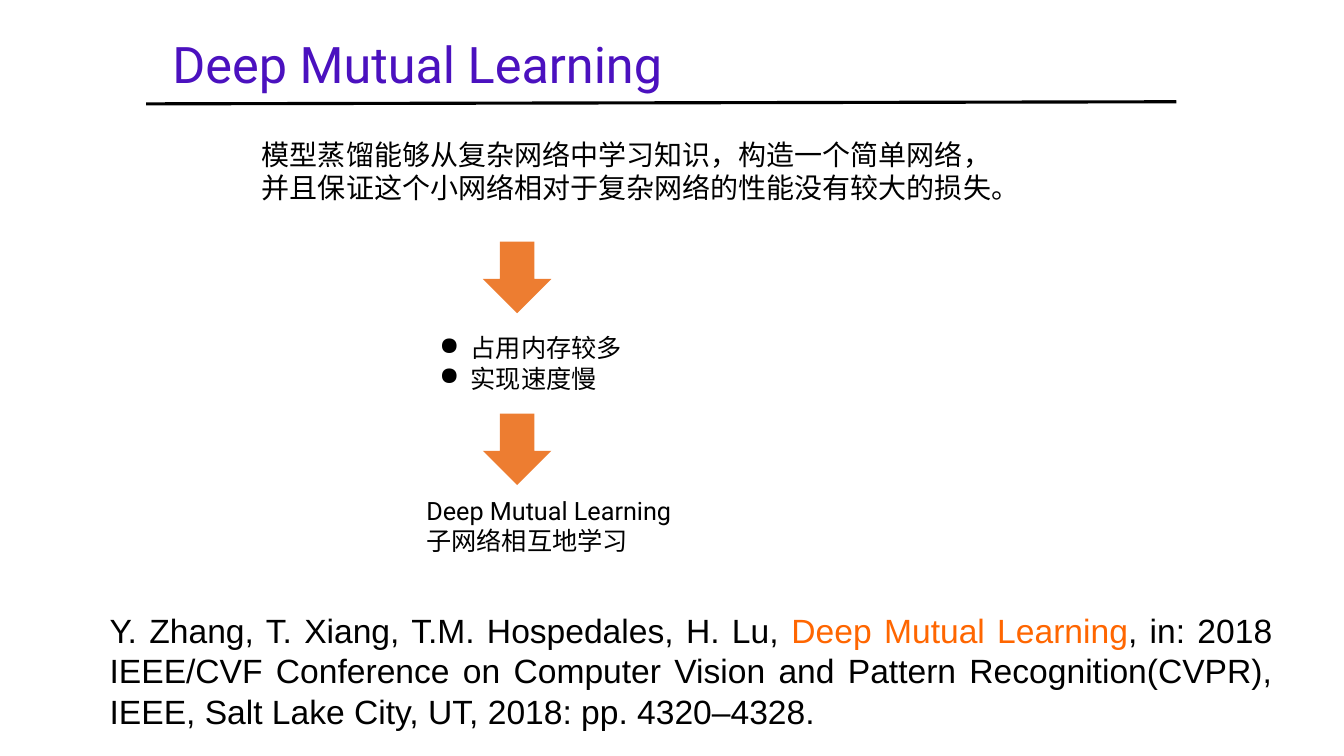
from dataclasses import dataclass

from lxml import etree
from pptx import Presentation
from pptx.dml.color import RGBColor
from pptx.enum.shapes import MSO_CONNECTOR, MSO_SHAPE
from pptx.enum.text import PP_ALIGN
from pptx.oxml.ns import qn
from pptx.slide import Slide
from pptx.util import Pt

STRAIGHT = MSO_CONNECTOR.STRAIGHT
DOWN_ARROW = MSO_SHAPE.DOWN_ARROW
LEFT = PP_ALIGN.LEFT
JUSTIFY = PP_ALIGN.JUSTIFY

BLACK = "000000"
PURPLE = "4B11BF"
ORANGE = "ED7D31"
HIGHLIGHT = "FF6600"
BULLET_INDENT = 22.5


@dataclass(frozen=True)
class Box:
    left: float
    top: float
    width: float
    height: float

    def lengths(self) -> tuple[Pt, Pt, Pt, Pt]:
        return Pt(self.left), Pt(self.top), Pt(self.width), Pt(self.height)


@dataclass(frozen=True)
class Run:
    text: str
    color: str = BLACK


def rgb(color: str) -> RGBColor:
    return RGBColor.from_string(color)


def add_bullet(paragraph) -> None:
    properties = paragraph._p.get_or_add_pPr()
    properties.set("marL", str(Pt(BULLET_INDENT)))
    properties.set("indent", str(-Pt(BULLET_INDENT)))
    etree.SubElement(properties, qn("a:buChar"), char="●")


def add_text(slide: Slide, box: Box, paragraphs: list[list[Run]], *, size: float,
             font: str = "Roboto", align: PP_ALIGN = LEFT, bullets: bool = False) -> None:
    frame = slide.shapes.add_textbox(*box.lengths()).text_frame
    frame.word_wrap = True
    for index, runs in enumerate(paragraphs):
        paragraph = frame.add_paragraph() if index else frame.paragraphs[0]
        paragraph.alignment = align
        if bullets:
            add_bullet(paragraph)
        for item in runs:
            run = paragraph.add_run()
            run.text = item.text
            run.font.name = font
            run.font.size = Pt(size)
            run.font.color.rgb = rgb(item.color)


def add_title_rule(slide: Slide) -> None:
    rule = slide.shapes.add_connector(STRAIGHT, Pt(104.4), Pt(74.2), Pt(840.2), Pt(72.7))
    rule.line.color.rgb = rgb(BLACK)
    rule.line.width = Pt(2.25)
    etree.SubElement(rule._element.spPr, qn("a:effectLst"))


def add_down_arrow(slide: Slide, box: Box) -> None:
    arrow = slide.shapes.add_shape(DOWN_ARROW, *box.lengths())
    arrow.shadow.inherit = False
    arrow.fill.solid()
    arrow.fill.fore_color.rgb = rgb(ORANGE)
    arrow.line.fill.background()


def main() -> None:
    presentation = Presentation()
    presentation.slide_width = Pt(960)
    presentation.slide_height = Pt(540)
    slide = presentation.slides.add_slide(presentation.slide_layouts[6])

    add_title_rule(slide)
    add_text(slide, Box(116, 20.2, 527, 51), [[Run("Deep Mutual Learning", PURPLE)]], size=36)
    add_text(
        slide, Box(180, 94.3, 553, 55.7),
        [[Run("模型蒸馏能够从复杂网络中学习知识，构造一个简单网络，"
              "并且保证这个小网络相对于复杂网络的性能没有较大的损失。")]],
        size=20,
    )
    for top in (172.6, 295.4):
        add_down_arrow(slide, Box(344.9, top, 49, 51.1))
    add_text(slide, Box(306.7, 234, 191.5, 51),
             [[Run("占用内存较多")], [Run("实现速度慢")]], size=18, bullets=True)
    add_text(slide, Box(297.4, 350, 210.2, 51),
             [[Run("Deep Mutual Learning")], [Run("子网络相互地学习")]], size=18)
    add_text(
        slide, Box(71.3, 432, 844.6, 94.3),
        [[Run("Y. Zhang, T. Xiang, T.M. Hospedales, H. Lu, "),
          Run("Deep Mutual Learning", HIGHLIGHT),
          Run(", in: 2018 IEEE/CVF Conference on Computer Vision and Pattern "
              "Recognition(CVPR), IEEE, Salt Lake City, UT, 2018: pp. 4320–4328.")]],
        size=24, font="Arial", align=JUSTIFY,
    )

    presentation.save("out.pptx")


if __name__ == "__main__":
    main()
